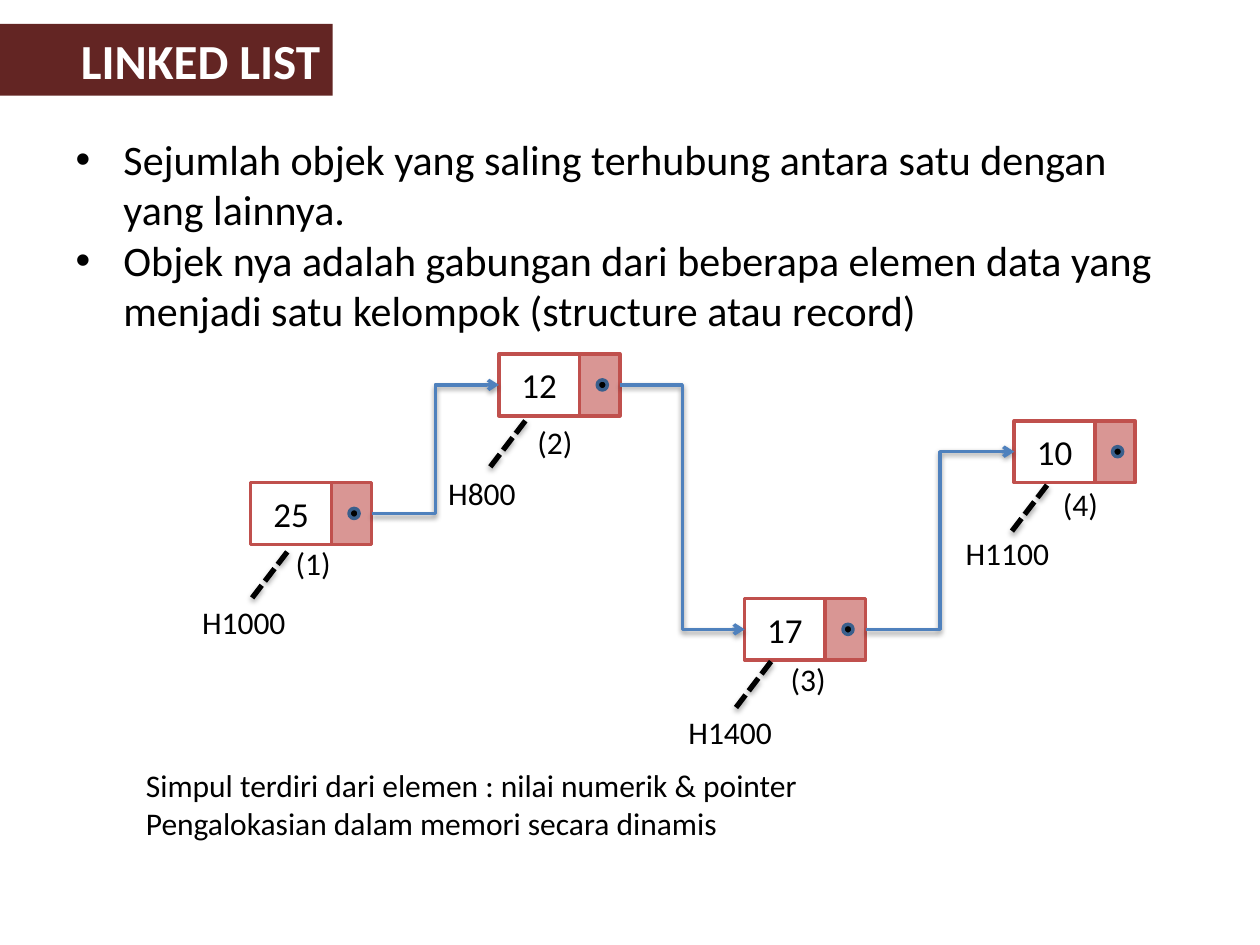
from collections import namedtuple

from lxml import etree
from pptx import Presentation
from pptx.dml.color import RGBColor
from pptx.enum.dml import MSO_LINE
from pptx.enum.shapes import MSO_CONNECTOR as Connector, MSO_SHAPE as Shape
from pptx.enum.text import MSO_ANCHOR as Anchor, MSO_AUTO_SIZE as AutoSize, PP_ALIGN as Align
from pptx.oxml import parse_xml
from pptx.oxml.ns import nsdecls, qn
from pptx.util import Inches, Pt

BLACK, WHITE = "000000", "FFFFFF"
MAROON, RED, PINK = "632523", "C0504D", "D99694"
BLUE, NAVY = "4F81BD", "3A5F8C"

NODE_HEIGHT, VALUE_WIDTH, POINTER_WIDTH = 0.49, 0.64, 0.32
DOT_SIZE = 0.08
LEADER_WIDTH, LEADER_HEIGHT = 0.29, 0.38

Node = namedtuple("Node", "value address at order_at address_at leader_at")
NODES = [  # in the order of the links
    Node("25", "H1000", (1.99, 3.83), (2.07, 4.22), (1.36, 4.69), (2.28, 4.38)),
    Node("12", "H800", (3.96, 2.81), (3.99, 3.26), (3.25, 3.67), (4.17, 3.34)),
    Node("17", "H1400", (5.91, 4.75), (6.00, 5.14), (5.22, 5.56), (6.12, 5.25)),
    Node("10", "H1100", (8.05, 3.34), (8.16, 3.75), (7.42, 4.14), (8.31, 3.85)),
]


def color(value):
    return RGBColor.from_string(value)


class SlideBuilder:
    font = "Calibri"

    def __init__(self, slide):
        self.slide = slide

    def place(self, shape, left, top, width, height):
        shape.left, shape.top = Inches(left), Inches(top)
        shape.width, shape.height = Inches(width), Inches(height)

    def fill_text(self, shape, lines, size, align=Align.LEFT, anchor=Anchor.TOP,
                  ink=BLACK, bold=False, wrap=True):
        frame = shape.text_frame
        frame.auto_size = AutoSize.NONE
        frame.word_wrap = wrap
        frame.vertical_anchor = anchor
        for index, line in enumerate(lines):
            paragraph = frame.add_paragraph() if index else frame.paragraphs[0]
            paragraph.alignment = align
            paragraph.space_before = Pt(0)
            run = paragraph.add_run()
            run.text = line
            run.font.name, run.font.size = self.font, Pt(size)
            run.font.bold = bold
            run.font.color.rgb = color(ink)

    def title(self, text, *box):
        shape = self.slide.shapes.title
        self.place(shape, *box)
        shape.fill.solid()
        shape.fill.fore_color.rgb = color(MAROON)
        self.fill_text(shape, [text], 28, Align.RIGHT, ink=WHITE, bold=True)

    def bullets(self, lines, *box):
        shape = self.slide.placeholders[1]
        self.place(shape, *box)
        self.fill_text(shape, lines, 24)
        for paragraph in shape.text_frame.paragraphs:
            properties = paragraph._p.get_or_add_pPr()
            properties.set("marL", str(Inches(0.38)))
            properties.set("indent", str(Inches(-0.38)))

    def text(self, lines, *box, **style):
        shape = self.slide.shapes.add_textbox(*map(Inches, box))
        self.fill_text(shape, lines, 18, **style)

    def label(self, text, *box):
        self.text([text], *box, align=Align.CENTER, anchor=Anchor.MIDDLE)

    def shape(self, kind, fill, outline, *box):
        shape = self.slide.shapes.add_shape(kind, *map(Inches, box))
        shape.shadow.inherit = False
        shape.fill.solid()
        shape.fill.fore_color.rgb = color(fill)
        shape.line.color.rgb = color(outline)
        shape.line.width = Pt(2)
        return shape

    def node(self, value, left, top):
        pointer_left = left + VALUE_WIDTH
        box = self.shape(Shape.RECTANGLE, WHITE, RED, left, top, VALUE_WIDTH, NODE_HEIGHT)
        self.fill_text(box, [value], 20, Align.CENTER, Anchor.MIDDLE)
        self.shape(Shape.RECTANGLE, PINK, RED, pointer_left, top, POINTER_WIDTH, NODE_HEIGHT)
        self.shape(Shape.OVAL, BLACK, NAVY, pointer_left + 0.14,
                   top + (NODE_HEIGHT - DOT_SIZE) / 2, DOT_SIZE, DOT_SIZE)

    def connector(self, kind, ink, width, opacity, distance, *ends):
        connector = self.slide.shapes.add_connector(kind, *map(Inches, ends))
        connector.line.color.rgb = color(ink)
        connector.line.width = Pt(width)
        connector._element.spPr.append(parse_xml(
            f'<a:effectLst {nsdecls("a")}><a:outerShdw blurRad="{Pt(3.1)}" '
            f'dist="{Pt(distance)}" dir="5400000" rotWithShape="0">'
            f'<a:srgbClr val="{BLACK}"><a:alpha val="{opacity * 1000}"/></a:srgbClr>'
            '</a:outerShdw></a:effectLst>'))
        return connector

    def link(self, *ends):
        connector = self.connector(Connector.ELBOW, BLUE, 2, 38, 1.6, *ends)
        outline = connector._element.spPr.find(qn("a:ln"))
        etree.SubElement(outline, qn("a:tailEnd")).set("type", "arrow")

    def leader(self, left, top):
        connector = self.connector(Connector.STRAIGHT, BLACK, 3, 35, 1.8, left, top,
                                   left - LEADER_WIDTH, top + LEADER_HEIGHT)
        connector.line.dash_style = MSO_LINE.SQUARE_DOT


def main():
    presentation = Presentation()
    presentation.slide_width, presentation.slide_height = Inches(10), Inches(7.5)
    builder = SlideBuilder(presentation.slides.add_slide(presentation.slide_layouts[1]))

    # Heading and definition
    builder.title("LINKED LIST", -0.51, 0.19, 3.15, 0.57)
    builder.bullets([
        "Sejumlah objek yang saling terhubung antara satu dengan yang lainnya.",
        "Objek nya adalah gabungan dari beberapa elemen data yang menjadi satu "
        "kelompok (structure atau record)",
    ], 0.5, 1.01, 9.06, 1.72)

    # Nodes
    for node in NODES:
        builder.node(node.value, *node.at)

    # Links from each pointer to the next node
    middle = NODE_HEIGHT / 2
    for source, target in zip(NODES, NODES[1:]):
        builder.link(source.at[0] + VALUE_WIDTH + POINTER_WIDTH, source.at[1] + middle,
                     target.at[0], target.at[1] + middle)

    # Order numbers and memory addresses
    for order, node in enumerate(NODES, start=1):
        builder.label(node.address, *node.address_at, 1.15, NODE_HEIGHT)
        builder.label(f"({order})", *node.order_at, 0.83, NODE_HEIGHT)
        builder.leader(*node.leader_at)

    # Closing remarks
    builder.text(["Simpul terdiri dari elemen : nilai numerik & pointer",
                  "Pengalokasian dalam memori secara dinamis"],
                 1.06, 6.03, 5.44, 0.71, wrap=False)

    presentation.save("out.pptx")


if __name__ == "__main__":
    main()
